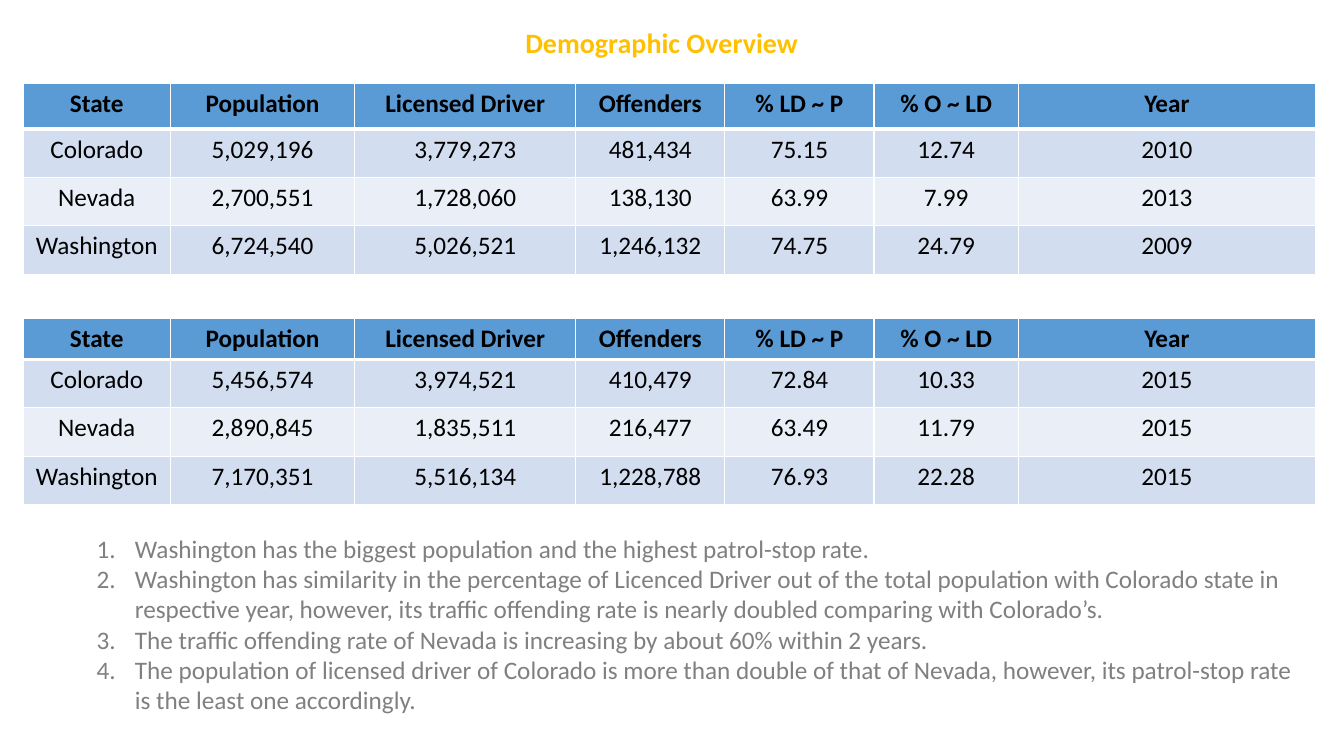
from lxml.etree import SubElement
from pptx import Presentation
from pptx.dml.color import RGBColor
from pptx.enum.text import MSO_ANCHOR, MSO_AUTO_SIZE, PP_ALIGN
from pptx.oxml.ns import qn
from pptx.util import Inches, Pt

HEADER_FILL = "5B9BD5"
BAND_FILLS = ["D2DEEF", "EAEFF7"]
COLUMN_WIDTHS = [1.46, 1.83, 2.19, 1.48, 1.48, 1.43, 2.95]
HEADINGS = ["State", "Population", "Licensed Driver", "Offenders",
            "% LD ~ P", "% O ~ LD", "Year"]
BODY_ROW_HEIGHT = 0.48

# top, header height, rows
TABLES = [
    (0.83, 0.45, [
        ["Colorado", "5,029,196", "3,779,273", "481,434", "75.15", "12.74", "2010"],
        ["Nevada", "2,700,551", "1,728,060", "138,130", "63.99", "7.99", "2013"],
        ["Washington", "6,724,540", "5,026,521", "1,246,132", "74.75", "24.79", "2009"],
    ]),
    (3.16, 0.4, [
        ["Colorado", "5,456,574", "3,974,521", "410,479", "72.84", "10.33", "2015"],
        ["Nevada", "2,890,845", "1,835,511", "216,477", "63.49", "11.79", "2015"],
        ["Washington", "7,170,351", "5,516,134", "1,228,788", "76.93", "22.28", "2015"],
    ]),
]
FINDINGS = [
    "Washington has the biggest population and the highest patrol-stop rate.",
    "Washington has similarity in the percentage of Licenced Driver out of the total "
    "population with Colorado state in respective year, however, its traffic offending "
    "rate is nearly doubled comparing with Colorado’s.",
    "The traffic offending rate of Nevada is increasing by about 60% within 2 years.",
    "The population of licensed driver of Colorado is more than double of that of Nevada, "
    "however, its patrol-stop rate is the least one accordingly.",
]


def style_text(para, size, color, bold=False):
    font = para.runs[0].font
    font.name = "Calibri"
    font.size = Pt(size)
    font.bold = bold
    font.color.rgb = RGBColor.from_string(color)


def add_borders(cell, top, bottom):
    """Draw white cell borders; must run before the fill is set."""
    widths = {"a:lnL": 1, "a:lnR": 1, "a:lnT": top, "a:lnB": bottom}
    for tag, width in widths.items():
        line = SubElement(cell._tc.get_or_add_tcPr(), qn(tag), w=str(Pt(width)))
        SubElement(SubElement(line, qn("a:solidFill")), qn("a:srgbClr"), val="FFFFFF")


deck = Presentation()
deck.slide_width, deck.slide_height = Inches(13.33), Inches(7.5)
slide = deck.slides.add_slide(deck.slide_layouts[5])

# Title
title = slide.shapes.title
title.left, title.top = Inches(5.11), Inches(0.2)
title.width, title.height = Inches(3.05), Inches(0.44)
title.text_frame.text = "Demographic Overview"
title.text_frame.vertical_anchor = MSO_ANCHOR.TOP
title.text_frame.auto_size = MSO_AUTO_SIZE.NONE
title.text_frame.word_wrap = False
title_para = title.text_frame.paragraphs[0]
title_para.alignment = PP_ALIGN.LEFT
style_text(title_para, 20, "FFC000", bold=True)

# Tables
for top, header_height, body in TABLES:
    rows = [HEADINGS] + body
    height = header_height + BODY_ROW_HEIGHT * len(body)
    table = slide.shapes.add_table(
        len(rows), len(HEADINGS), Inches(0.23), Inches(top),
        Inches(sum(COLUMN_WIDTHS)), Inches(height)).table
    for column, width in zip(table.columns, COLUMN_WIDTHS):
        column.width = Inches(width)
    for r, values in enumerate(rows):
        is_header = r == 0
        table.rows[r].height = Inches(header_height if is_header else BODY_ROW_HEIGHT)
        fill = HEADER_FILL if is_header else BAND_FILLS[(r - 1) % 2]
        for c, value in enumerate(values):
            cell = table.cell(r, c)
            add_borders(cell, top=3 if r == 1 else 1, bottom=3 if is_header else 1)
            cell.fill.solid()
            cell.fill.fore_color.rgb = RGBColor.from_string(fill)
            cell.text_frame.text = value
            para = cell.text_frame.paragraphs[0]
            para.alignment = PP_ALIGN.CENTER
            style_text(para, 18, "000000", bold=is_header)

# Numbered findings
box = slide.shapes.add_textbox(Inches(0.86), Inches(5.24), Inches(12.18), Inches(1.92))
frame = box.text_frame
frame.word_wrap = True
for i, finding in enumerate(FINDINGS):
    para = frame.paragraphs[0] if i == 0 else frame.add_paragraph()
    para.text = finding
    style_text(para, 18, "808080")
    properties = para._p.get_or_add_pPr()
    properties.set("marL", str(Inches(0.38)))
    properties.set("indent", str(Inches(-0.38)))
    SubElement(properties, qn("a:buFont"), typeface="+mj-lt")
    SubElement(properties, qn("a:buAutoNum"), type="arabicPeriod")

deck.save("out.pptx")
